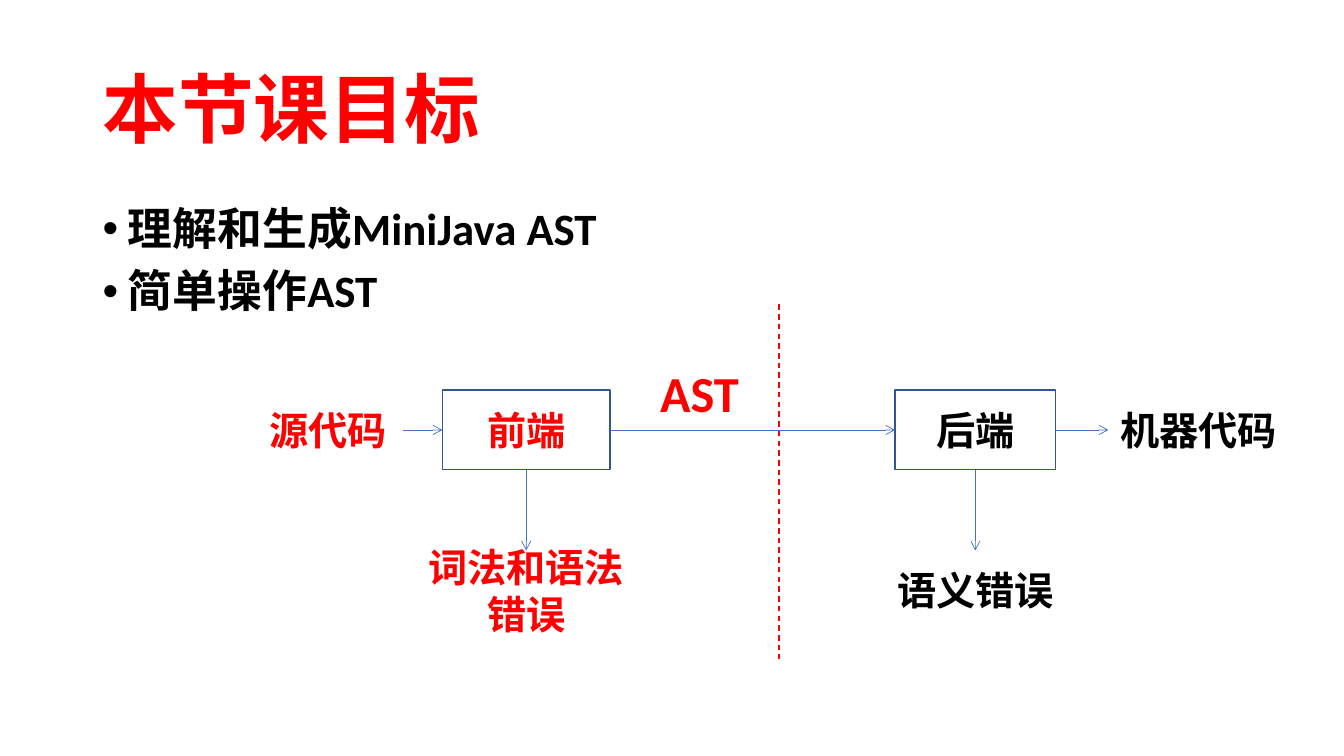
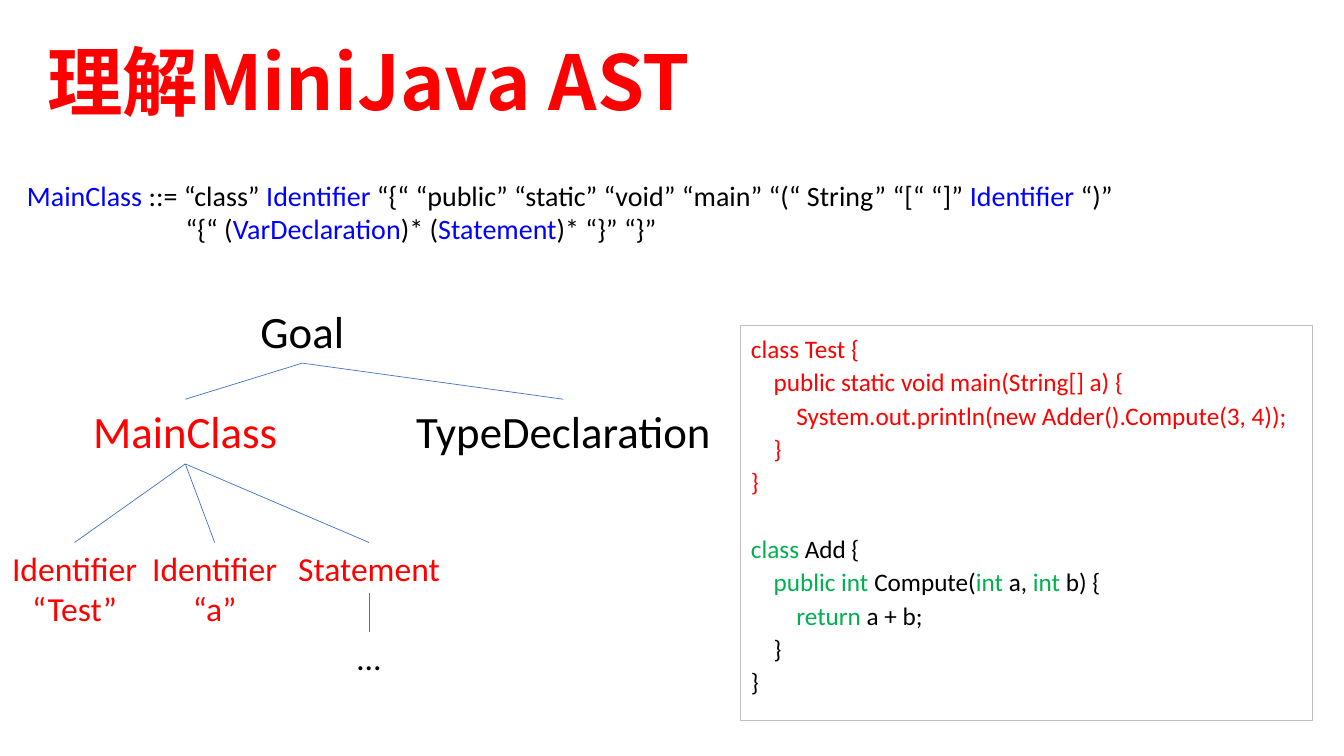
from dataclasses import dataclass

from lxml import etree
from pptx import Presentation
from pptx.dml.color import RGBColor
from pptx.enum.dml import MSO_LINE
from pptx.enum.shapes import MSO_CONNECTOR, MSO_SHAPE
from pptx.enum.text import MSO_ANCHOR, MSO_AUTO_SIZE, PP_ALIGN
from pptx.oxml.ns import qn
from pptx.util import Cm, Pt

LEFT, CENTER = PP_ALIGN.LEFT, PP_ALIGN.CENTER
MIDDLE = MSO_ANCHOR.MIDDLE
FIXED, GROW = MSO_AUTO_SIZE.NONE, MSO_AUTO_SIZE.SHAPE_TO_FIT_TEXT
STRAIGHT, DASH = MSO_CONNECTOR.STRAIGHT, MSO_LINE.DASH
RECT = MSO_SHAPE.RECTANGLE
TOP_SITE, LEFT_SITE, BOTTOM_SITE, RIGHT_SITE = range(4)


@dataclass(frozen=True)
class Theme:
    red: str = "FF0000"
    black: str = "000000"
    white: str = "FFFFFF"
    symbol: str = "0000FF"
    keyword: str = "00B050"
    edge: str = "4472C4"
    border: str = "325491"
    frame: str = "BFBFBF"
    font: str = "Calibri"
    cjk: str = "Noto Sans CJK SC"
    title: int = 54
    label: int = 36
    body: int = 32
    box: int = 28
    leaf: int = 24
    grammar: int = 20
    code: int = 18


T = Theme()


def rgb(value):
    return RGBColor.from_string(value)


def style_run(r, size, color, bold=False, font=T.font):
    r.font.size, r.font.bold, r.font.name = Pt(size), bold, font
    r.font.color.rgb = rgb(color)
    etree.SubElement(r.font._element, qn("a:ea"), typeface=T.cjk)


def style_text(tf, size, color, bold=False, font=T.font, align=CENTER):
    for p in tf.paragraphs:
        p.alignment = align
        for r in p.runs:
            style_run(r, size, color, bold, font)


def add_marked_runs(p, text, size, accent, color):
    """Write text in color, with the parts between bars in accent."""
    for i, part in enumerate(text.split("|")):
        if part:
            r = p.add_run()
            r.text = part
            style_run(r, size, accent if i % 2 else color)


def set_bullet(p, char=None, indent=0):
    pPr = p._p.get_or_add_pPr()
    pPr.set("marL", str(Cm(indent)))
    pPr.set("indent", str(-Cm(indent)))
    if char:
        etree.SubElement(pPr, qn("a:buChar"), char=char)
    else:
        etree.SubElement(pPr, qn("a:buNone"))


def place(sp, left, top, width, height):
    sp.left, sp.top, sp.width, sp.height = map(Cm, (left, top, width, height))


def add_slide(prs, title, area, align):
    """Add a title and content slide; return it with its body placeholder."""
    s = prs.slides.add_slide(prs.slide_layouts[1])
    place(s.shapes.title, *area)
    tf = s.shapes.title.text_frame
    tf.text = title
    tf.auto_size, tf.vertical_anchor = FIXED, MIDDLE
    tf.paragraphs[0].line_spacing = 0.9
    style_text(tf, T.title, T.red, True, T.cjk, align)
    body = s.placeholders[1]
    body.text_frame.auto_size = FIXED
    return s, body


def fill_list(body, items):
    tf = body.text_frame
    tf.text = "\n".join(items)
    for i, p in enumerate(tf.paragraphs):
        set_bullet(p, "•", 0.64)
        p.line_spacing = 0.9
        p.space_before = Pt(10 if i else 0)
    style_text(tf, T.body, T.black, True, align=LEFT)


def fill_code(body, blocks):
    """Set blocks of (lines, colour) with one line of space between them."""
    body.line.color.rgb = rgb(T.frame)
    body.line.width = Pt(0.75)
    tf = body.text_frame
    p = None
    for lines, color in blocks:
        for i, line in enumerate(lines):
            gap = 24 if p and i == 0 else 0
            p = tf.add_paragraph() if p else tf.paragraphs[0]
            set_bullet(p)
            p.line_spacing, p.space_before = 1.1, Pt(gap)
            add_marked_runs(p, line, T.code, T.keyword, color)


def add_box(s, text, center, top, width, color, border=T.white):
    sp = s.shapes.add_shape(RECT, Cm(center - width / 2), Cm(top), Cm(width), Cm(2.01))
    sp.shadow.inherit = False
    sp.fill.solid()
    sp.fill.fore_color.rgb = rgb(T.white)
    sp.line.color.rgb = rgb(border)
    sp.line.width = Pt(1)
    tf = sp.text_frame
    tf.text, tf.word_wrap, tf.vertical_anchor = text, True, MIDDLE
    style_text(tf, T.box, color, True)
    return sp


def add_label(s, text, area, size, color, bold=False, wrap=False):
    sp = s.shapes.add_textbox(*map(Cm, area))
    tf = sp.text_frame
    tf.text, tf.word_wrap, tf.auto_size = text, wrap, GROW
    style_text(tf, size, color, bold)
    return sp


def add_node(s, text, center, top, width, size, color):
    height = {T.body: 1.63, T.leaf: 1.27}[size] + 1.04 * text.count("\n")
    return add_label(s, text, (center - width / 2, top, width, height), size, color)


def add_line(s, start=(0, 0), end=(0, 0), color=T.edge, width=0.5):
    c = s.shapes.add_connector(STRAIGHT, *map(Cm, (*start, *end)))
    c.line.color.rgb = rgb(color)
    c.line.width = Pt(width)
    etree.SubElement(c.element.spPr, qn("a:effectLst"))
    return c


def join(s, a, b, a_site=BOTTOM_SITE, b_site=TOP_SITE, arrow=False):
    c = add_line(s)
    c.begin_connect(a, a_site)
    c.end_connect(b, b_site)
    if arrow:
        ln = c.element.spPr.find(qn("a:ln"))
        etree.SubElement(ln, qn("a:tailEnd"), type="arrow")


def build_goals(prs):
    s, body = add_slide(prs, "本节课目标", (2.33, 1.01, 29.21, 3.68), LEFT)
    place(body, 2.33, 5.08, 29.21, 12.09)
    fill_list(body, ["理解和生成MiniJava AST", "简单操作AST"])

    row, errors = 9.83, 13.87
    front_x, back_x = 13.26, 24.58
    source = add_box(s, "源代码", 8.27, row, 3.78, T.red)
    front = add_box(s, "前端", front_x, row, 4.22, T.red, T.border)
    back = add_box(s, "后端", back_x, row, 4.04, T.black, T.border)
    machine = add_box(s, "机器代码", 30.21, row, 4.55, T.black)
    syntax = add_box(s, "词法和语法错误", front_x, errors, 6.05, T.red)
    semantic = add_box(s, "语义错误", back_x, errors, 6.05, T.black)

    stages = [source, front, back, machine]
    for a, b in zip(stages, stages[1:]):
        join(s, a, b, RIGHT_SITE, LEFT_SITE, arrow=True)
    for stage, error in ((front, syntax), (back, semantic)):
        join(s, stage, error, arrow=True)

    add_label(s, "AST", (15.42, 8.99, 4.42, 2.57), T.label, T.red, True, True)
    divider = add_line(s, (19.63, 7.67), (19.63, 16.61), T.red, 1)
    divider.line.dash_style = DASH


def add_grammar(s, lines, indent):
    """Set a grammar rule whose later lines are indented."""
    tf = s.shapes.add_textbox(Cm(0.43), Cm(4.37), Cm(33.27), Cm(1.96)).text_frame
    tf.word_wrap = True
    for i, line in enumerate(lines):
        p = tf.add_paragraph() if i else tf.paragraphs[0]
        if i:
            p._p.get_or_add_pPr().set("marL", str(Cm(indent)))
        add_marked_runs(p, line, T.grammar, T.symbol, T.black)


def add_tree(s):
    goal = add_node(s, "Goal", 7.62, 7.52, 2.64, T.body, T.black)
    main_class = add_node(s, "MainClass", 4.67, 10.06, 5.21, T.body, T.red)
    type_decl = add_node(s, "TypeDeclaration", 14.2, 10.06, 8.03, T.body, T.black)
    leaf_top = 13.67
    name = add_node(s, "Identifier\n“Test”", 1.88, leaf_top, 3.71, T.leaf, T.red)
    arg = add_node(s, "Identifier\n“a”", 5.41, leaf_top, 3.71, T.leaf, T.red)
    statement = add_node(s, "Statement", 9.3, leaf_top, 4.11, T.leaf, T.red)
    rest = add_node(s, "…", 9.3, 15.93, 1.12, T.leaf, T.black)
    for parent, children in (
        (goal, (main_class, type_decl)),
        (main_class, (name, arg, statement)),
        (statement, (rest,)),
    ):
        for child in children:
            join(s, parent, child)


def build_ast(prs):
    s, body = add_slide(prs, "理解MiniJava AST", (0.58, 0.33, 17.42, 3.68), CENTER)
    add_grammar(s, [
        "|MainClass| ::= “class” |Identifier| “{“ “public” “static” “void” “main” "
        "“(“ String” “[“ “]” |Identifier| “)”",
        "“{“ (|VarDeclaration|)* (|Statement|)* “}” “}”",
    ], indent=4)
    add_tree(s)
    place(body, 18.67, 8.2, 14.4, 9.96)
    fill_code(body, [
        ([
            "class Test {",
            "    public static void main(String[] a) {",
            "        System.out.println(new Adder().Compute(3, 4));",
            "    }",
            "}",
        ], T.red),
        ([
            "|class| Add {",
            "    |public int| Compute(|int| a, |int| b) {",
            "        |return| a + b;",
            "    }",
            "}",
        ], T.black),
    ])


def main():
    prs = Presentation()
    prs.slide_width, prs.slide_height = Cm(33.87), Cm(19.05)
    build_goals(prs)
    build_ast(prs)
    prs.save("out.pptx")


if __name__ == "__main__":
    main()
